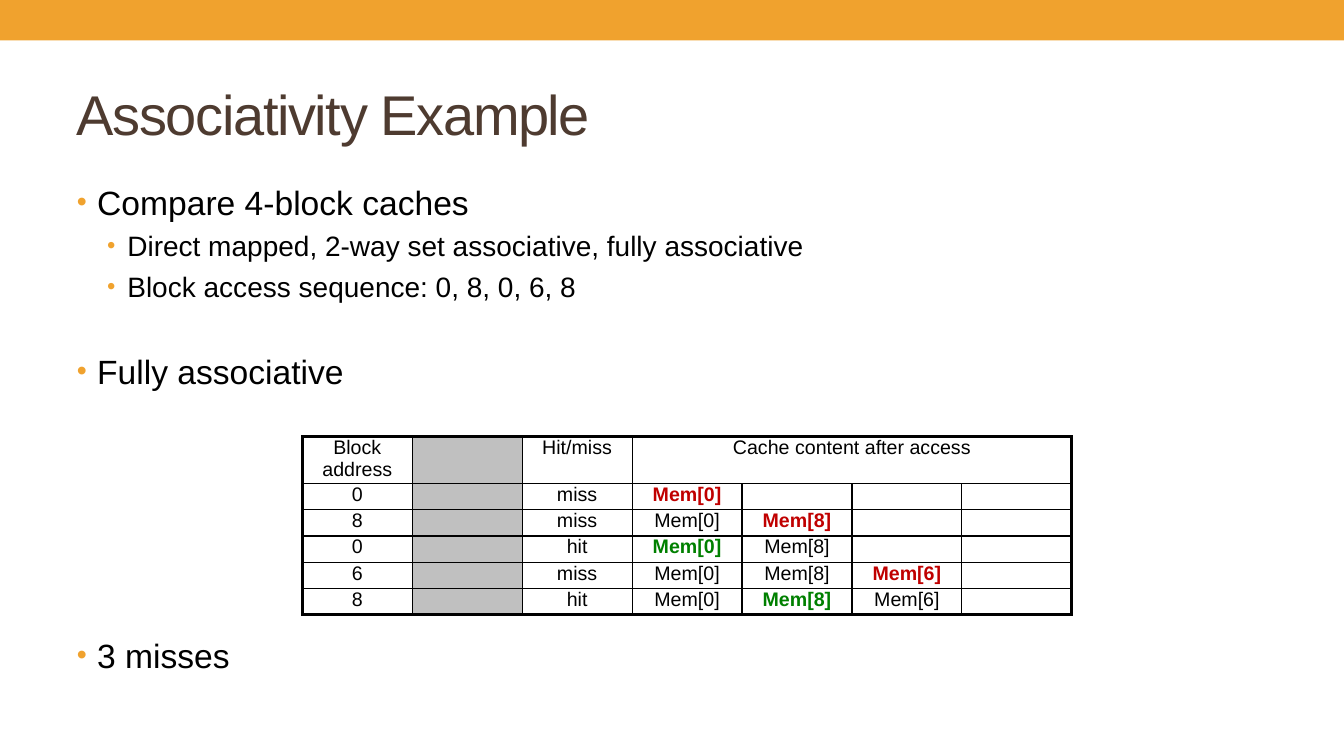
"""Build the slide comparing the associativity of caches."""
from lxml import etree
from pptx import Presentation
from pptx.dml.color import RGBColor
from pptx.enum.shapes import MSO_SHAPE
from pptx.enum.text import MSO_ANCHOR, PP_ALIGN
from pptx.oxml.ns import qn
from pptx.util import Cm, Pt

RECT = MSO_SHAPE.RECTANGLE
CENTER = PP_ALIGN.CENTER
TOP, MIDDLE = MSO_ANCHOR.TOP, MSO_ANCHOR.MIDDLE
FONT = "Arial"
COLORS = {
    "accent": "F0A22E",
    "title": "4E3B30",
    "text": "000000",
    "unused": "C0C0C0",
    "miss": "C00000",
    "hit": "008000",
}
BULLETS = [
    ("Compare 4-block caches", 0, 3),
    ("Direct mapped, 2-way set associative, fully associative", 1, 5),
    ("Block access sequence: 0, 8, 0, 6, 8", 1, 5),
    ("Fully associative", 0, 34),
    ("3 misses", 0, 174),
]
LEVELS = [(24, 0.51), (20, 1.27)]
HANGING = Cm(0.51)
HEADER = ["Block address", "", "Hit/miss", "Cache content after access", "", "", ""]
ACCESSES = [
    ("0", "miss", ["Mem[0]"], 0),
    ("8", "miss", ["Mem[0]", "Mem[8]"], 1),
    ("0", "hit", ["Mem[0]", "Mem[8]"], 0),
    ("6", "miss", ["Mem[0]", "Mem[8]", "Mem[6]"], 2),
    ("8", "hit", ["Mem[0]", "Mem[8]", "Mem[6]"], 1),
]
UNUSED_COL, CONTENT_COL = 1, 3
CELL_SIZE = 14
THIN, THICK = 1, 2.25


def rgb(name):
    """Return the named colour."""
    return RGBColor.from_string(COLORS[name])


def add_text(p, text, size, color="text", bold=False, spacing=None):
    """Add a formatted run to a paragraph."""
    r = p.add_run()
    r.text = text
    r.font.name = FONT
    r.font.size = Pt(size)
    r.font.bold = bold
    r.font.color.rgb = rgb(color)
    if spacing is not None:
        r.font._element.set("spc", str(spacing * 100))


def add_box(s, left, top, width, height, anchor=TOP):
    """Add a wrapping text box and return its text frame."""
    tf = s.shapes.add_textbox(Cm(left), Cm(top), Cm(width), Cm(height)).text_frame
    tf.word_wrap = True
    tf.vertical_anchor = anchor
    return tf


def add_band(s, width):
    """Add the coloured band along the top edge."""
    sp = s.shapes.add_shape(RECT, 0, 0, width, Cm(1.02))
    sp.shadow.inherit = False
    sp.fill.solid()
    sp.fill.fore_color.rgb = rgb("accent")
    sp.line.fill.background()


def set_bullet(p, indent):
    """Give a paragraph a hanging accent-coloured bullet."""
    pPr = p._p.get_or_add_pPr()
    pPr.set("marL", str(Cm(indent)))
    pPr.set("indent", str(-HANGING))
    color = etree.SubElement(pPr, qn("a:buClr"))
    etree.SubElement(color, qn("a:srgbClr"), val=COLORS["accent"])
    etree.SubElement(pPr, qn("a:buSzPct"), val="85000")
    etree.SubElement(pPr, qn("a:buFont"), typeface=FONT)
    etree.SubElement(pPr, qn("a:buChar"), char="•")


def add_bullets(tf):
    """Fill a text frame with the bullet list."""
    for i, (text, level, before) in enumerate(BULLETS):
        p = tf.add_paragraph() if i else tf.paragraphs[0]
        size, indent = LEVELS[level]
        p.level = level
        p.space_before = Pt(before)
        set_bullet(p, indent)
        add_text(p, text, size)


def set_borders(cell, **widths):
    """Draw the cell's borders with the given widths in points."""
    tcPr = cell._tc.get_or_add_tcPr()
    for side, width in widths.items():
        ln = etree.SubElement(tcPr, qn(f"a:ln{side}"), w=str(Pt(width)))
        fill = etree.SubElement(ln, qn("a:solidFill"))
        etree.SubElement(fill, qn("a:srgbClr"), val=COLORS["text"])


def fill_cell(cell, text, color, shaded):
    """Set the margins, text and fill of a cell."""
    cell.margin_left = cell.margin_right = Cm(0.25)
    cell.margin_top = cell.margin_bottom = 0
    p = cell.text_frame.paragraphs[0]
    p.alignment = CENTER
    if text:
        add_text(p, text, CELL_SIZE, color=color, bold=color != "text")
    else:
        p._p.get_or_add_endParaRPr().set("sz", str(CELL_SIZE * 100))
    if shaded:
        cell.fill.solid()
        cell.fill.fore_color.rgb = rgb("unused")
    else:
        cell.fill.background()


def add_cache_table(s):
    """Add the table of block accesses."""
    rows, cols = len(ACCESSES) + 1, len(HEADER)
    frame = s.shapes.add_table(rows, cols, Cm(7.62), Cm(11), Cm(19.4), Cm(4.42))
    table = frame.table
    table.first_row = table.horz_banding = False
    for col in table.columns:
        col.width = Cm(2.77)
    for i, row in enumerate(table.rows):
        row.height = Cm(0.66 if i else 1.12)
    table.cell(0, CONTENT_COL).merge(table.cell(0, cols - 1))

    texts, marks = [HEADER], {}
    for i, (block, result, content, changed) in enumerate(ACCESSES, 1):
        blanks = [""] * (cols - CONTENT_COL - len(content))
        texts.append([block, "", result, *content, *blanks])
        marks[i, CONTENT_COL + changed] = result

    for i, row in enumerate(texts):
        for j, text in enumerate(row):
            cell = table.cell(i, j)
            last = j + cell.span_width - 1 if cell.is_merge_origin else j
            set_borders(
                cell,
                L=THIN if j else THICK,
                R=THICK if last == cols - 1 else THIN,
                T=THIN if i else THICK,
                B=THICK if i == rows - 1 else THIN,
            )
            fill_cell(cell, text, marks.get((i, j), "text"), j == UNUSED_COL)


def main():
    """Build and save the slide."""
    prs = Presentation()
    prs.slide_width, prs.slide_height = Cm(33.87), Cm(19.05)
    s = prs.slides.add_slide(prs.slide_layouts[6])
    add_band(s, prs.slide_width)
    title = add_box(s, 1.69, 1.48, 30.48, 2.75, anchor=MIDDLE)
    add_text(title.paragraphs[0], "Associativity Example", 40, color="title", spacing=-1)
    add_bullets(add_box(s, 1.69, 4.45, 30.48, 13.54))
    add_cache_table(s)
    prs.save("out.pptx")


if __name__ == "__main__":
    main()
